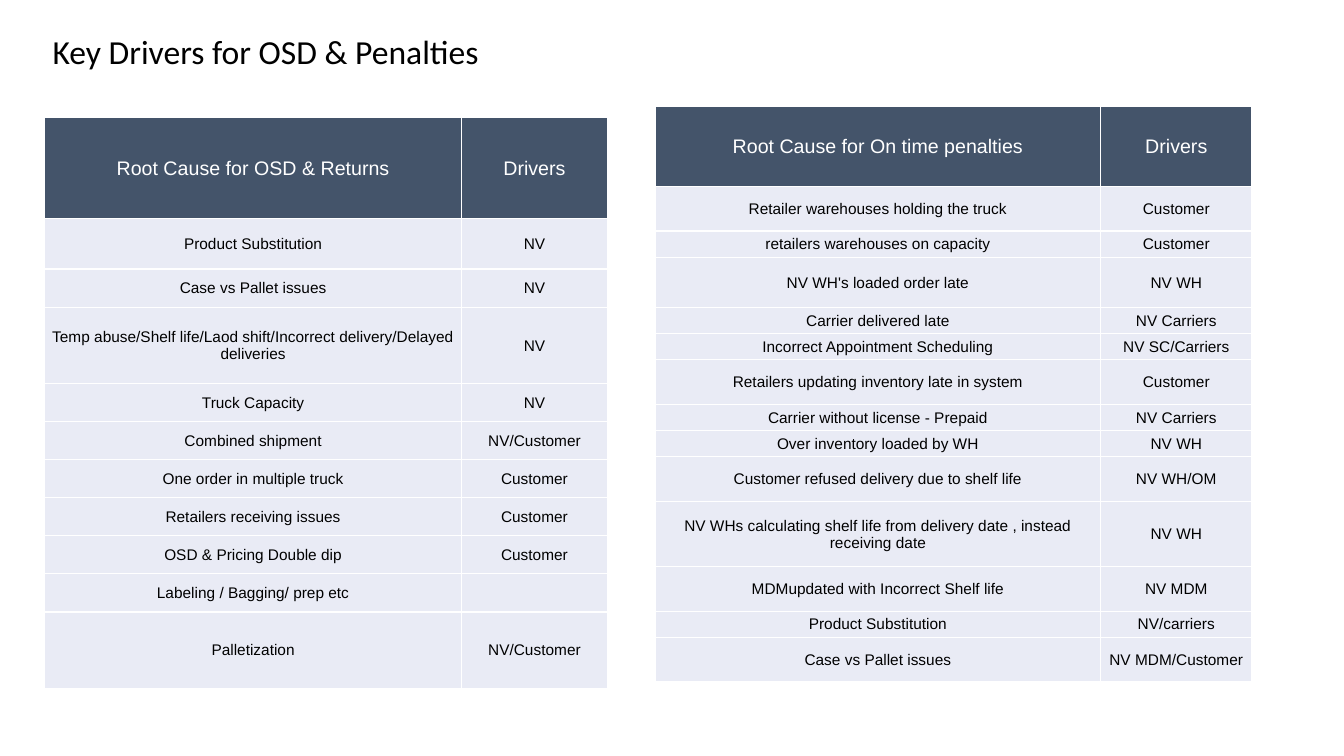
from dataclasses import dataclass

from lxml.etree import SubElement
from pptx import Presentation
from pptx.dml.color import RGBColor
from pptx.enum.text import MSO_ANCHOR, MSO_AUTO_SIZE, PP_ALIGN
from pptx.oxml.ns import qn
from pptx.util import Cm, Pt


@dataclass(frozen=True)
class Theme:
    title_font: str = "Calibri"
    table_font: str = "Arial"
    title_size: int = 24
    header_size: int = 14
    cell_size: int = 11
    border_width: int = 1
    text: str = "000000"
    header_text: str = "FFFFFF"
    header_fill: str = "44546A"
    cell_fill: str = "E9EBF5"
    border: str = "FFFFFF"


class SlideBuilder:
    def __init__(self, s, theme):
        self.s, self.theme = s, theme

    def set_font(self, p, name, size, color):
        p.font.name, p.font.size, p.font.bold = name, Pt(size), False
        p.font.color.rgb = RGBColor.from_string(color)

    def title(self, text, left, top, width, height):
        sp = self.s.shapes.title
        sp.left, sp.top, sp.width, sp.height = map(Cm, (left, top, width, height))
        tf = sp.text_frame
        tf.text = text
        tf.auto_size = MSO_AUTO_SIZE.NONE
        tf.vertical_anchor = MSO_ANCHOR.MIDDLE
        p = tf.paragraphs[0]
        p.alignment = PP_ALIGN.LEFT
        self.set_font(p, self.theme.title_font, self.theme.title_size, self.theme.text)

    def borders(self, cell):
        tc_pr = cell._tc.get_or_add_tcPr()
        for side in ("lnL", "lnR", "lnT", "lnB"):
            ln = SubElement(tc_pr, qn(f"a:{side}"), w=str(Pt(self.theme.border_width)))
            fill = SubElement(ln, qn("a:solidFill"))
            SubElement(fill, qn("a:srgbClr"), val=self.theme.border)

    def cell(self, cell, text, is_header):
        t = self.theme
        self.borders(cell)
        cell.fill.solid()
        cell.fill.fore_color.rgb = RGBColor.from_string(t.header_fill if is_header else t.cell_fill)
        cell.margin_left = cell.margin_right = cell.margin_top = Cm(0.02)
        cell.margin_bottom = 0
        cell.vertical_anchor = MSO_ANCHOR.MIDDLE
        cell.text = text
        p = cell.text_frame.paragraphs[0]
        p.alignment = PP_ALIGN.CENTER
        size, color = (t.header_size, t.header_text) if is_header else (t.cell_size, t.text)
        self.set_font(p, t.table_font, size, color)

    def table(self, left, top, widths, rows):
        """Each row holds its height, root cause and driver."""
        height = sum(row[0] for row in rows)
        frame = self.s.shapes.add_table(len(rows), len(widths), Cm(left), Cm(top),
                                        Cm(sum(widths)), Cm(height))
        table = frame.table
        table.first_row = table.horz_banding = False
        for col, width in zip(table.columns, widths):
            col.width = Cm(width)
        for i, (row_height, *texts) in enumerate(rows):
            table.rows[i].height = Cm(row_height)
            for j, text in enumerate(texts):
                self.cell(table.cell(i, j), text, i == 0)


# Table content
OSD_ROW = 0.96
OSD_ROWS = [
    (2.54, "Root Cause for OSD & Returns", "Drivers"),
    (1.27, "Product Substitution", "NV"),
    (OSD_ROW, "Case vs Pallet issues", "NV"),
    (2 * OSD_ROW, "Temp abuse/Shelf life/Laod shift/Incorrect delivery/Delayed deliveries", "NV"),
    (OSD_ROW, "Truck Capacity", "NV"),
    (OSD_ROW, "Combined shipment", "NV/Customer"),
    (OSD_ROW, "One order in multiple truck", "Customer"),
    (OSD_ROW, "Retailers receiving issues", "Customer"),
    (OSD_ROW, "OSD & Pricing Double dip", "Customer"),
    (OSD_ROW, "Labeling / Bagging/ prep etc", ""),
    (2 * OSD_ROW, "Palletization", "NV/Customer"),
]

LOW, MID = 0.66, 1.12
PENALTY_ROWS = [
    (2.03, "Root Cause for On time penalties", "Drivers"),
    (MID, "Retailer warehouses holding the truck", "Customer"),
    (LOW, "retailers warehouses on capacity", "Customer"),
    (1.27, "NV WH's loaded order late", "NV WH"),
    (LOW, "Carrier delivered late", "NV Carriers"),
    (LOW, "Incorrect Appointment Scheduling", "NV SC/Carriers"),
    (MID, "Retailers updating inventory late in system", "Customer"),
    (LOW, "Carrier without license - Prepaid", "NV Carriers"),
    (LOW, "Over inventory loaded by WH", "NV WH"),
    (MID, "Customer refused delivery due to shelf life", "NV WH/OM"),
    (1.65, "NV WHs calculating shelf life from delivery date , instead receiving date", "NV WH"),
    (MID, "MDMupdated with Incorrect Shelf life", "NV MDM"),
    (LOW, "Product Substitution", "NV/carriers"),
    (MID, "Case vs Pallet issues", "NV MDM/Customer"),
]


def main():
    prs = Presentation()
    prs.slide_width, prs.slide_height = Cm(33.87), Cm(19.05)
    title_only = prs.slide_layouts[5]
    builder = SlideBuilder(prs.slides.add_slide(title_only), Theme())

    # Heading
    builder.title("Key Drivers for OSD & Penalties", 1.07, 0.64, 23.7, 1.27)

    # Root cause tables
    builder.table(1.12, 2.97, (10.52, 3.66), OSD_ROWS)
    builder.table(16.51, 2.67, (11.23, 3.81), PENALTY_ROWS)

    prs.save("out.pptx")


if __name__ == "__main__":
    main()
